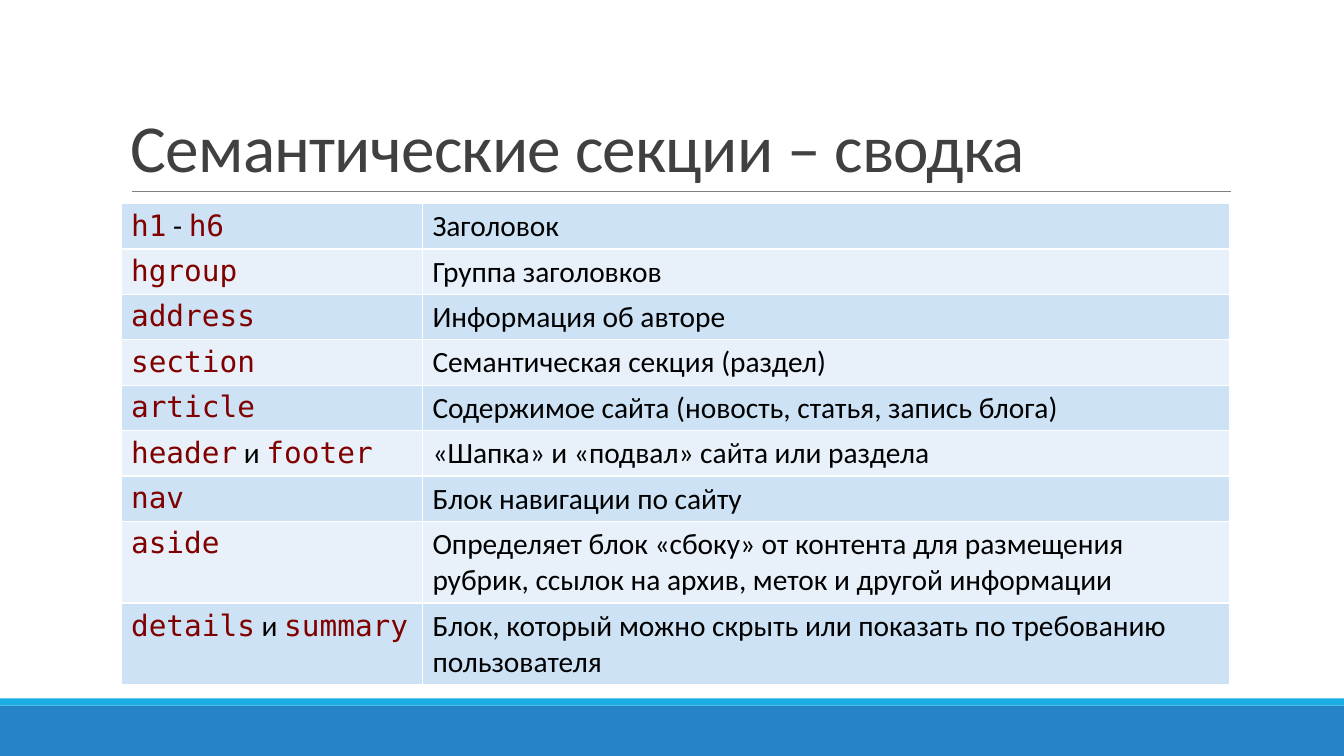
from pptx import Presentation
from pptx.dml.color import RGBColor
from pptx.enum.shapes import MSO_CONNECTOR, MSO_SHAPE
from pptx.enum.text import MSO_ANCHOR
from pptx.oxml.ns import qn
from pptx.util import Inches, Pt
from lxml import etree

RECT = MSO_SHAPE.RECTANGLE
LINE = MSO_CONNECTOR.STRAIGHT
BOTTOM = MSO_ANCHOR.BOTTOM

BLUE = RGBColor(0x26, 0x83, 0xC6)
CYAN = RGBColor(0x1C, 0xAD, 0xE4)
GRAY = RGBColor(0x80, 0x80, 0x80)
DARK = RGBColor(0x40, 0x40, 0x40)
BLACK = RGBColor(0, 0, 0)
MAROON = RGBColor(0x80, 0, 0)
BANDS = [RGBColor(0xCD, 0xE3, 0xF5), RGBColor(0xE8, 0xF1, 0xFA)]

SANS = "Calibri"
MONO = "DejaVu Sans Mono"
SIZE = 21

ROWS = [
    (["h1", " - ", "h6"], "Заголовок"),
    (["hgroup"], "Группа заголовков"),
    (["address"], "Информация об авторе"),
    (["section"], "Семантическая секция (раздел)"),
    (["article"], "Содержимое сайта (новость, статья, запись блога)"),
    (["header", " и ", "footer"], "«Шапка» и «подвал» сайта или раздела"),
    (["nav"], "Блок навигации по сайту"),
    (["aside"], "Определяет блок «сбоку» от контента для размещения "
                "рубрик, ссылок на архив, меток и другой информации"),
    (["details", " и ", "summary"],
     "Блок, который можно скрыть или показать по требованию пользователя"),
]
TALL = 2


def style(run, font, size, color):
    run.font.name = font
    run.font.size = Pt(size)
    run.font.color.rgb = color


def add_bar(slide, top, height, color):
    bar = slide.shapes.add_shape(
        RECT, 0, Inches(top), Inches(13.33), Inches(height))
    bar.shadow.inherit = False
    bar.fill.solid()
    bar.fill.fore_color.rgb = color
    bar.line.fill.background()


def add_rule(slide, left, right, top):
    rule = slide.shapes.add_connector(
        LINE, Inches(left), Inches(top), Inches(right), Inches(top))
    rule.line.color.rgb = GRAY
    rule.line.width = Pt(0.5)
    etree.SubElement(rule._element.spPr, qn("a:effectLst"))


def add_title(slide, text):
    box = slide.shapes.add_textbox(
        Inches(1.2), Inches(0.31), Inches(11), Inches(1.59))
    frame = box.text_frame
    frame.word_wrap = True
    frame.vertical_anchor = BOTTOM
    frame.text = text
    para = frame.paragraphs[0]
    para.line_spacing = 0.85
    run = para.runs[0]
    style(run, SANS, 48, DARK)
    run.font._element.set("spc", "-50")


def fill_cell(cell, parts, fonts, band):
    cell.fill.solid()
    cell.fill.fore_color.rgb = band
    para = cell.text_frame.paragraphs[0]
    for i, part in enumerate(parts):
        run = para.add_run()
        run.text = part
        font, color = fonts[i % len(fonts)]
        style(run, font, SIZE, color)


def add_grid(slide):
    frame = slide.shapes.add_table(
        len(ROWS), 2, Inches(1.2), Inches(2.02), Inches(11), Inches(4.75))
    table = frame.table
    table.first_row = False
    for col, width in zip(table.columns, (2.99, 8.01)):
        col.width = Inches(width)
    plain = (SANS, BLACK)
    code = (MONO, MAROON)
    for i, (tags, note) in enumerate(ROWS):
        last = i >= len(ROWS) - TALL
        table.rows[i].height = Inches(0.81 if last else 0.45)
        band = BANDS[i % 2]
        fill_cell(table.cell(i, 0), tags, [code, plain], band)
        fill_cell(table.cell(i, 1), [note], [plain], band)


def main():
    deck = Presentation()
    deck.slide_width = Inches(13.33)
    deck.slide_height = Inches(7.5)
    slide = deck.slides.add_slide(deck.slide_layouts[6])
    add_bar(slide, 7, 0.5, BLUE)
    add_bar(slide, 6.93, 0.07, CYAN)
    add_rule(slide, 1.31, 12.21, 1.9)
    add_title(slide, "Семантические секции – сводка")
    add_grid(slide)
    deck.save("out.pptx")


if __name__ == "__main__":
    main()
